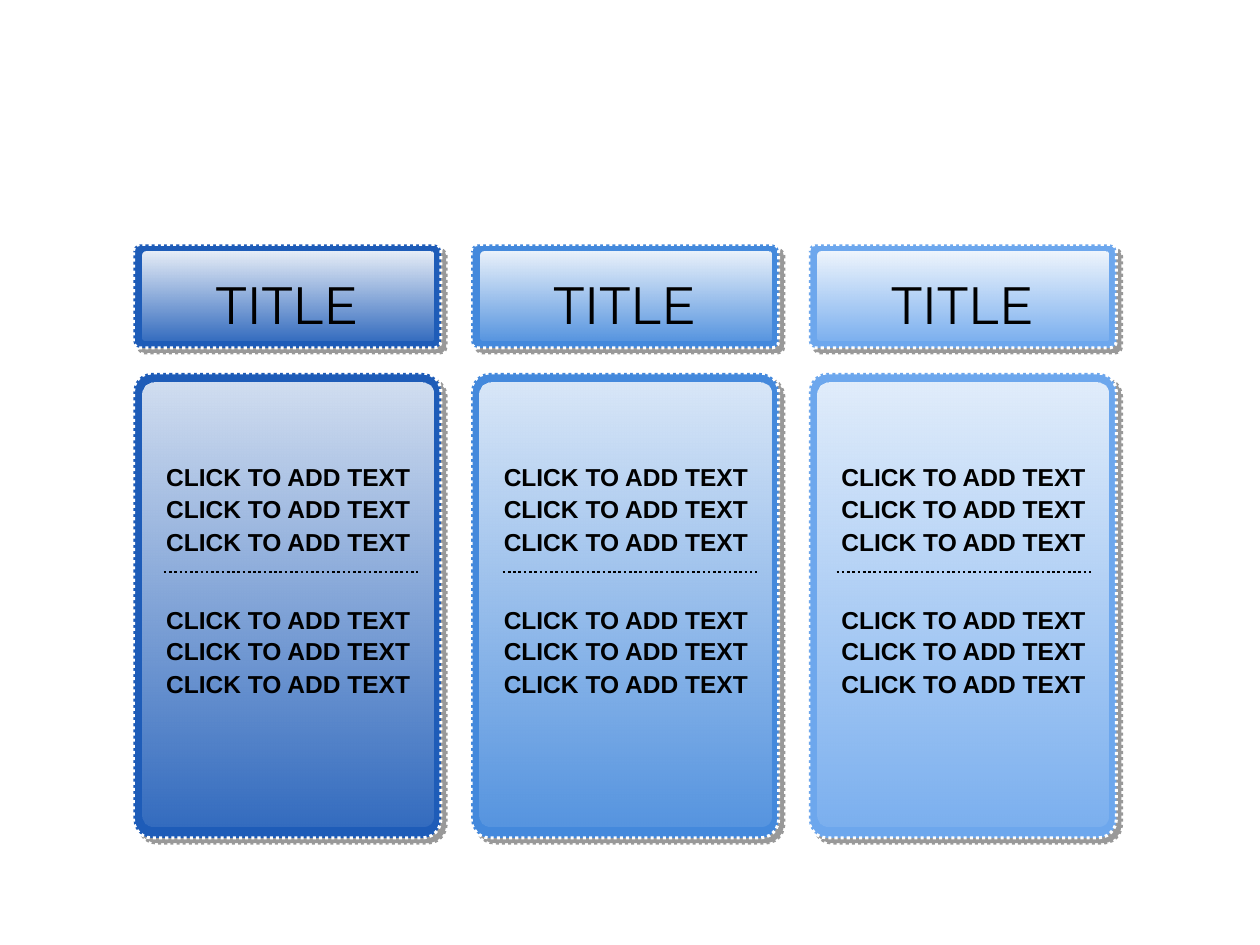
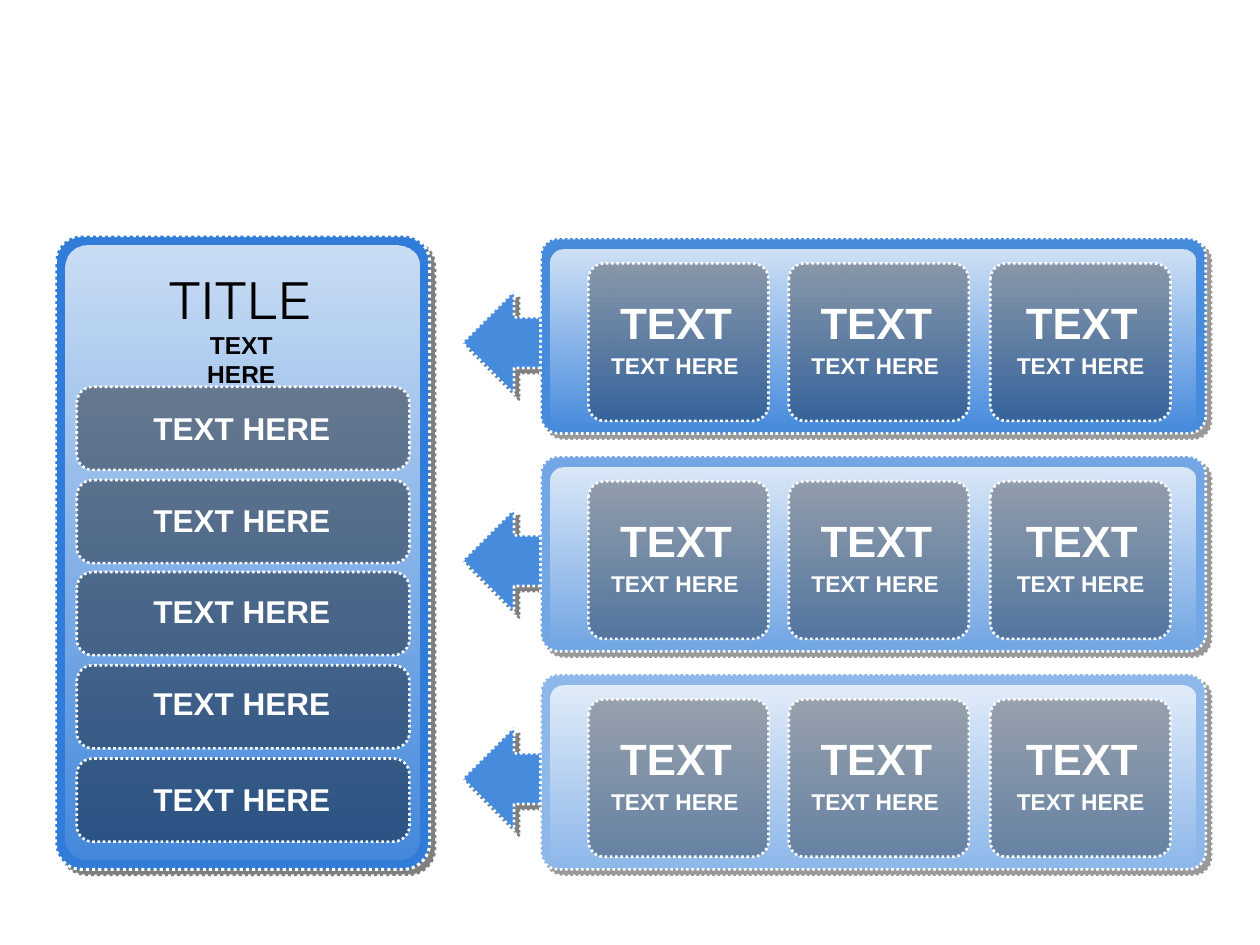
"""Build two slides of glossy blue panels with titles, text cells and arrows."""
from dataclasses import dataclass
from lxml.etree import SubElement
from pptx import Presentation
from pptx.dml.color import RGBColor
from pptx.enum.dml import MSO_LINE
from pptx.enum.shapes import MSO_CONNECTOR, MSO_SHAPE
from pptx.enum.text import MSO_AUTO_SIZE, PP_ALIGN
from pptx.oxml.ns import qn
from pptx.util import Inches, Pt


@dataclass(frozen=True)
class Theme:
    white: str = "FFFFFF"
    black: str = "000000"
    arrow: str = "478BDD"
    panel: str = "307CD8"
    columns: tuple = ("1E5CB8", "4489DC", "6DA7ED")
    rows: tuple = ("478BDD", "72A6E4", "8EB8EA")
    font: str = "Arial"
    display: str = "Montserrat"
    title: int = 30
    head: int = 25
    label: int = 18
    body: int = 14
    small: int = 13


THEME = Theme()


def place(slide, kind, box, *adjust):
    shape = slide.shapes.add_shape(kind, *map(Inches, box))
    shape.shadow.inherit = False
    shape.line.fill.background()
    for i, value in enumerate(adjust):
        shape.adjustments[i] = value
    return shape


def fade(shape, *levels):
    colors = shape.element.spPr.iter(qn("a:srgbClr"))
    for color, level in zip(colors, levels):
        SubElement(color, qn("a:alpha"), val=str(level * 1000))


def paint(shape, color):
    shape.fill.solid()
    shape.fill.fore_color.rgb = RGBColor.from_string(color)


def trim(line, color, width):
    line.color.rgb = RGBColor.from_string(color)
    line.width = Pt(width)
    line.dash_style = MSO_LINE.ROUND_DOT


def shade(shape, level):
    effects = shape.element.spPr.find(qn("a:effectLst"))
    cast = SubElement(effects, qn("a:outerShdw"), blurRad="0", dist=str(Pt(4.2)),
                      dir="2700000", algn="tl", rotWithShape="0")
    color = SubElement(cast, qn("a:srgbClr"), val=THEME.black)
    SubElement(color, qn("a:alpha"), val=str(level * 1000))


def add_frame(slide, box, color, kind=MSO_SHAPE.ROUNDED_RECTANGLE,
              adjust=(0.06,), width=1.75, shadow=40):
    shape = place(slide, kind, box, *adjust)
    paint(shape, color)
    trim(shape.line, THEME.white, width)
    shade(shape, shadow)


def add_gloss(slide, box, round_by, top, base):
    shape = place(slide, MSO_SHAPE.ROUNDED_RECTANGLE, box, round_by)
    shape.fill.gradient()
    shape.fill.gradient_angle = 270
    for stop in shape.fill.gradient_stops:
        stop.color.rgb = RGBColor.from_string(THEME.white)
    fade(shape, top, base)


def add_cell(slide, box, round_by, level):
    shape = place(slide, MSO_SHAPE.ROUNDED_RECTANGLE, box, round_by)
    paint(shape, THEME.black)
    fade(shape, level)
    trim(shape.line, THEME.white, 1.5)


def add_text(slide, text, box, size, color=THEME.black, font=THEME.font,
             bold=True, align=PP_ALIGN.CENTER, spacing=None):
    frame = slide.shapes.add_textbox(*map(Inches, box)).text_frame
    frame.word_wrap = False
    frame.auto_size = MSO_AUTO_SIZE.SHAPE_TO_FIT_TEXT
    para = frame.paragraphs[0]
    para.alignment = align
    para.line_spacing = spacing
    run = para.add_run()
    run.text = text
    run.font.size = Pt(size)
    run.font.name = font
    run.font.bold = bold
    run.font.color.rgb = RGBColor.from_string(color)


def add_title(slide, box, spacing=None):
    add_text(slide, "TITLE", box, THEME.title, font=THEME.display,
             bold=False, spacing=spacing)


def add_rule(slide, left, top, width):
    rule = slide.shapes.add_connector(
        MSO_CONNECTOR.STRAIGHT, Inches(left), Inches(top),
        Inches(left + width), Inches(top))
    trim(rule.line, THEME.black, 1.5)
    SubElement(rule.element.spPr, qn("a:effectLst"))


def add_column(slide, left, color, rule):
    add_frame(slide, (left, 2.96, 2.44, 3.69), color)
    add_gloss(slide, (left + 0.07, 3.04, 2.31, 3.52), 0.04, 80, 10)
    add_frame(slide, (left, 1.94, 2.44, 0.82), color)
    add_gloss(slide, (left + 0.07, 2, 2.31, 0.7), 0.04, 90, 10)
    add_title(slide, (left + 0.45, 2.11, 1.54, 0.6))
    for top in (3.62, 4.75):
        for drop in (0, 0.25, 0.51):
            add_text(slide, "CLICK TO ADD TEXT", (left + 0.16, top + drop, 2.14, 0.33),
                     THEME.body, align=PP_ALIGN.LEFT)
    add_rule(slide, rule, 4.54, 2.02)


def add_panel(slide):
    add_frame(slide, (0.44, 1.87, 2.97, 5.03), THEME.panel, adjust=(0.07,), shadow=50)
    add_gloss(slide, (0.52, 1.95, 2.81, 4.87), 0.06, 75, 10)
    add_title(slide, (1.14, 2.21, 1.54, 0.45), spacing=0.7)
    add_text(slide, "TEXT HERE", (1.27, 2.57, 1.29, 0.33), THEME.body)
    bars = (3.07, 3.81, 4.54, 5.28, 6.02)
    labels = (3.2, 3.93, 4.65, 5.38, 6.14)
    for bar, label in zip(bars, labels):
        add_cell(slide, (0.61, bar, 2.64, 0.66), 0.19, 40)
        add_text(slide, "TEXT HERE", (1.12, label, 1.6, 0.4), THEME.label, THEME.white)


def add_row(slide, top, color):
    add_frame(slide, (3.67, top + 0.42, 0.9, 0.82), THEME.arrow,
              MSO_SHAPE.LEFT_ARROW, (0.49, 0.5), 1.5, 50)
    add_frame(slide, (4.29, top, 5.28, 1.55), color, adjust=(0.09,), width=1.5)
    add_gloss(slide, (4.37, top + 0.09, 5.12, 1.41), 0.07, 75, 0)
    for cell, head in ((4.67, 4.82), (6.26, 6.41), (7.86, 8.04)):
        add_cell(slide, (cell, top + 0.2, 1.43, 1.25), 0.1, 30)
        add_text(slide, "TEXT", (head, top + 0.41, 1.09, 0.52), THEME.head, THEME.white)
        add_text(slide, "TEXT HERE", (head - 0.07, top + 0.85, 1.21, 0.32),
                 THEME.small, THEME.white)


def main():
    deck = Presentation()
    deck.slide_width, deck.slide_height = Inches(10), Inches(7.5)
    blank = deck.slide_layouts[6]

    slide = deck.slides.add_slide(blank)
    rules = (1.3, 3.99, 6.64)
    for i, (color, rule) in enumerate(zip(THEME.columns, rules)):
        add_column(slide, 1.06 + 2.68 * i, color, rule)

    slide = deck.slides.add_slide(blank)
    add_panel(slide)
    for i, color in enumerate(THEME.rows):
        add_row(slide, 1.89 + 1.73 * i, color)

    deck.save("out.pptx")


if __name__ == "__main__":
    main()
